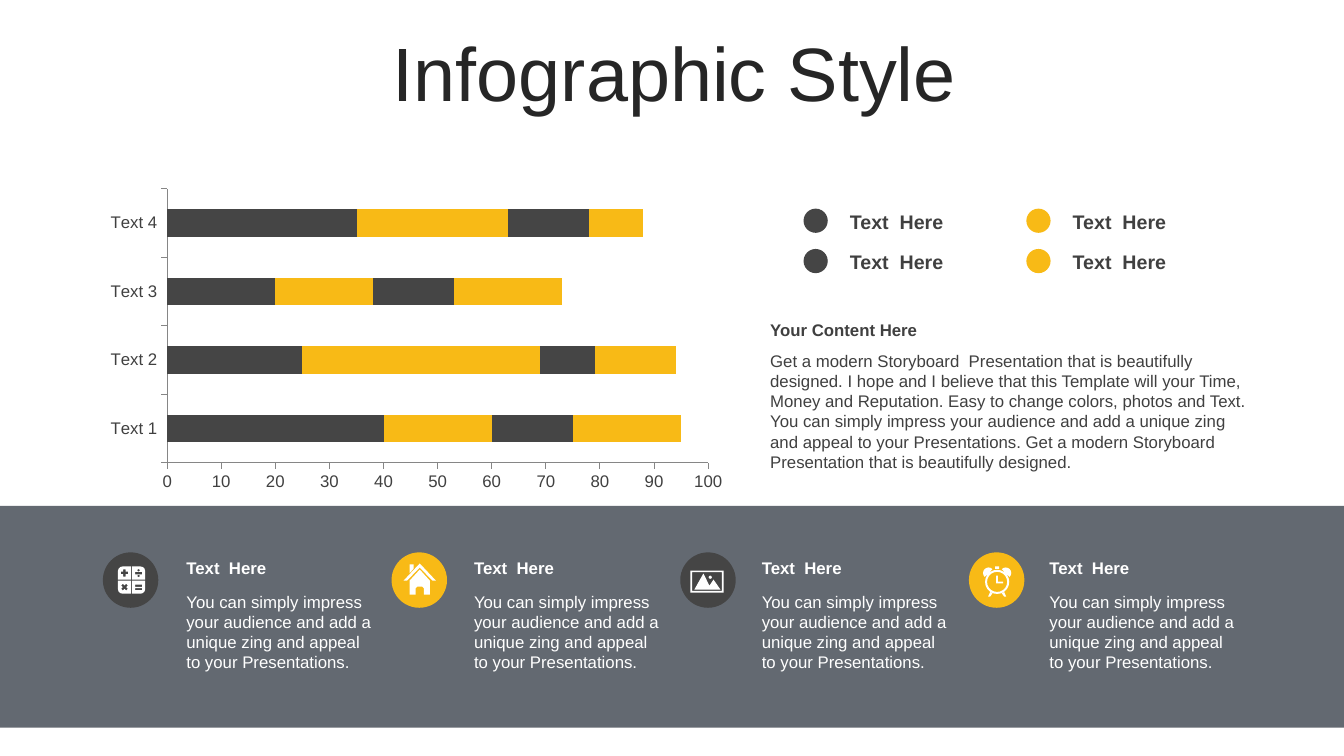
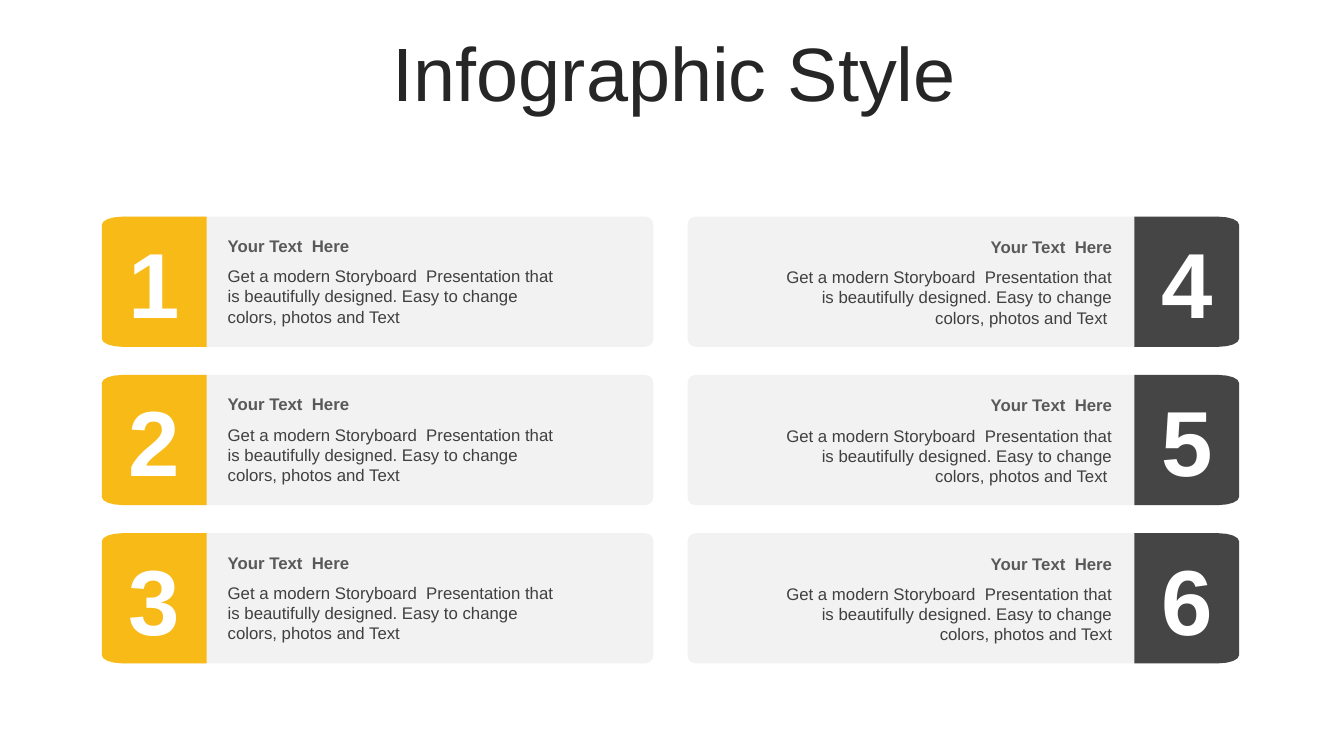
import math

import pptx
import pptx.chart.data
import pptx.dml.color
import pptx.enum.chart
import pptx.enum.shapes
import pptx.enum.text
import pptx.oxml.ns
import pptx.util
from lxml import etree

W, H = 13.33, 7.5
FONT = "Arial"
DARK, YELLOW, WHITE = "454545", "F8BA16", "FFFFFF"
TITLE, TEXT, HEADING = "262626", "404040", "595959"
CARD, BAND, AXIS = "F2F2F2", "222A35", "868686"

SHAPE = pptx.enum.shapes.MSO_SHAPE
ALIGN = pptx.enum.text.PP_ALIGN
ANCHOR = pptx.enum.text.MSO_ANCHOR
inch = pptx.util.Inches


def rgb(colour):
    return pptx.dml.color.RGBColor.from_string(colour)


def paint(sp, colour):
    sp.shadow.inherit = False
    sp.fill.solid()
    sp.fill.fore_color.rgb = rgb(colour)
    sp.line.fill.background()
    return sp


def shape(s, kind, x, y, w, h, colour):
    return paint(s.shapes.add_shape(kind, inch(x), inch(y), inch(w), inch(h)), colour)


def set_font(font, size, colour, bold=False):
    font.name, font.size, font.bold = FONT, pptx.util.Pt(size), bold
    font.color.rgb = rgb(colour)


def text(s, x, y, w, h, words, size, colour, bold=False, align=ALIGN.LEFT, anchor=ANCHOR.TOP):
    tf = s.shapes.add_textbox(inch(x), inch(y), inch(w), inch(h)).text_frame
    tf.word_wrap = True
    tf.vertical_anchor = anchor
    p = tf.paragraphs[0]
    p.text = words
    p.alignment = align
    set_font(p.font, size, colour, bold)
    return p


def headed_text(s, x, y, w, heading, body, colours, gap=0.3, body_h=0.71, align=ALIGN.LEFT):
    text(s, x, y, w, 0.3, heading, 12, colours[0], True, align)
    text(s, x, y + gap, w, body_h, body, 12, colours[1], align=align)


def freeform(s, x, y, contours, colour, unit=1.0):
    """Draw closed outlines, given in units of an inch from (x, y), as one shape."""
    builder = None
    for contour in contours:
        pts = [(inch(x + px * unit), inch(y + py * unit)) for px, py in contour]
        if builder is None:
            builder = s.shapes.build_freeform(*pts[0])
        else:
            builder.move_to(*pts[0])
        builder.add_line_segments(pts[1:], close=True)
    return paint(builder.convert_to_shape(), colour)


def arc(cx, cy, rx, ry, start, end, steps):
    angles = [math.radians(start + (end - start) * i / steps) for i in range(steps + 1)]
    return [(cx + rx * math.cos(a), cy + ry * math.sin(a)) for a in angles]


def circle(cx, cy, r, steps=8):
    return arc(cx, cy, r, r, 0, 360, steps)[:-1]


def rect(x1, y1, x2, y2):
    return [(x1, y1), (x2, y1), (x2, y2), (x1, y2)]


def mirror(contour, axis=28):
    return [(2 * axis - x, y) for x, y in contour]


# Icon outlines, in hundredths of an inch from the corner of their disc.

def calculator():
    cx, cy = 28.5, 27.5
    key = [(0.5, 0.5), (13.5, 0.5)] + arc(9, 9, 4.5, 4.5, 0, 90, 3) + [(0.5, 13.5)]
    keys = [[(cx + sx * x, cy + sy * y) for x, y in key] for sx in (-1, 1) for sy in (-1, 1)]
    a, b = 3.5, 1.25
    plus = [(-b, -a), (b, -a), (b, -b), (a, -b), (a, b), (b, b),
            (b, a), (-b, a), (-b, b), (-a, b), (-a, -b), (-b, -b)]
    c = math.sqrt(0.5)
    return keys + [
        [(21.5 + x, 20.5 + y) for x, y in plus],
        [(21.5 + c * (x - y), 34.5 + c * (x + y)) for x, y in plus],
        rect(32, 19.4, 39, 21.8), circle(35.5, 17.8, 1.2), circle(35.5, 23.4, 1.2),
        rect(32, 32, 39, 34.2), rect(32, 35.4, 39, 37.6)]


def house():
    half = [(28, 17), (38, 28), (38, 42), (32, 42), (32, 35.5), (30.5, 34)]
    roof = [(28, 11), (44, 28), (40.5, 28), (28, 15), (15.5, 28), (12, 28)]
    chimney = [(18, 12), (22, 12), (22, 16), (18, 20.5)]
    return [half + mirror(half)[:0:-1], roof, chimney]


def photo():
    return [rect(10, 18, 43, 40), rect(11.7, 19.7, 41.3, 38.3),
            [(23, 21), (29, 33), (33, 27), (40, 37), (14, 37)], circle(29.8, 24.7, 1.6)]


def alarm_clock():
    bell = arc(19.5, 20.5, 5.5, 5.5, 135, 315, 8)
    leg = [(21, 39.5), (19, 44), (21, 44), (23.3, 40.8)]
    hands = [(27, 23), (28.8, 23), (28.8, 29), (34, 29), (34, 30.8), (27, 30.8)]
    return [circle(28, 29.3, 12, 20), circle(28, 29.3, 10, 20), hands,
            bell, mirror(bell), leg, mirror(leg), rect(26, 14, 30, 16.4)]


def new_slide(prs):
    s = prs.slides.add_slide(prs.slide_layouts[6])
    p = text(s, 0.36, 0.37, W - 0.67, 0.79, "Infographic Style", 54, TITLE,
             align=ALIGN.CENTER, anchor=ANCHOR.MIDDLE)
    p.line_spacing = 0.9
    return s


def bar_chart(s, x, y, w, h):
    data = pptx.chart.data.CategoryChartData()
    data.categories = [f"Text {n}" for n in range(1, 5)]
    rows = [(40, 25, 20, 35), (20, 44, 18, 28), (15, 10, 15, 15), (20, 15, 20, 10)]
    for n, values in enumerate(rows, 1):
        data.add_series(f"Series {n}", values)
    chart = s.shapes.add_chart(pptx.enum.chart.XL_CHART_TYPE.BAR_STACKED,
                               inch(x), inch(y), inch(w), inch(h), data).chart
    chart.has_legend = chart.has_title = False
    set_font(chart.font, 12, TEXT)
    plot = chart.plots[0]
    plot.gap_width, plot.overlap, plot.vary_by_categories = 150, 100, False
    for n, series in enumerate(plot.series):
        series.format.fill.solid()
        series.format.fill.fore_color.rgb = rgb((DARK, YELLOW)[n % 2])
    for axis in (chart.category_axis, chart.value_axis):
        axis.has_major_gridlines = False
        axis.major_tick_mark = pptx.enum.chart.XL_TICK_MARK.OUTSIDE
        axis.format.line.color.rgb = rgb(AXIS)
        axis.format.line.width = pptx.util.Pt(0.75)
        set_font(axis.tick_labels.font, 12, TEXT)
    axis.minimum_scale, axis.maximum_scale, axis.major_unit = 0, 100, 10


def legend(s, x, y):
    for col, colour in enumerate((DARK, YELLOW)):
        for row in range(2):
            left, top = x + 2.21 * col, y + 0.4 * row
            shape(s, SHAPE.OVAL, left, top, 0.24, 0.24, colour)
            text(s, left + 0.36, top - 0.04, 1.49, 0.34, "Text  Here", 14, TEXT, True)


def icon_band(s, y, h):
    band = shape(s, SHAPE.RECTANGLE, 0, y, W, h, BAND)
    tint = band.element.find(".//" + pptx.oxml.ns.qn("a:srgbClr"))
    etree.SubElement(tint, pptx.oxml.ns.qn("a:alpha"), val="70000")
    body = "You can simply impress your audience and add a unique zing and appeal to your Presentations."
    disc_step, text_step = (9.61 - 1.02) / 3, (10.31 - 1.75) / 3
    for n, icon in enumerate((calculator, house, photo, alarm_clock)):
        left, top = 1.02 + disc_step * n, y + 0.46
        shape(s, SHAPE.OVAL, left, top, 0.55, 0.55, (DARK, YELLOW)[n % 2])
        freeform(s, left, top, icon(), WHITE, 0.01)
        headed_text(s, 1.75 + text_step * n, top, 2.05, "Text  Here", body,
                    (WHITE, WHITE), 0.34, 0.91)


def chart_slide(prs):
    s = new_slide(prs)
    icon_band(s, 5.02, 2.2)
    bar_chart(s, 0.97, 1.81, 6.32, 3.12)
    legend(s, 7.97, 2.07)
    body = ("Get a modern Storyboard  Presentation that is beautifully designed. I hope and I believe "
            "that this Template will your Time, Money and Reputation. Easy to change colors, photos "
            "and Text. You can simply impress your audience and add a unique zing and appeal to your "
            "Presentations. Get a modern Storyboard  Presentation that is beautifully designed.")
    headed_text(s, 7.54, 3.12, 4.92, "Your Content Here", body, (TEXT, TEXT), 0.31, 1.31)


def number_card(s, x, y, w, h, number, flipped):
    """Place a card with its number tab on the left, or on the right if flipped."""
    tab_w, inset, text_w = 1.04, 0.11, 3.55
    card = shape(s, SHAPE.ROUNDED_RECTANGLE, x if flipped else x + inset, y, w - inset, h, CARD)
    card.adjustments[0] = 0.06
    tab = ([(tab_w, 0), (tab_w, h)] + arc(0.2, h - 0.08, 0.2, 0.08, 90, 180, 4)
           + arc(0.2, 0.08, 0.2, 0.08, 180, 270, 4))
    tab_x = x + w - tab_w if flipped else x
    freeform(s, tab_x, y, [mirror(tab, tab_w / 2) if flipped else tab], DARK if flipped else YELLOW)
    text(s, tab_x, y, tab_w, h, str(number), 66, WHITE, True, ALIGN.CENTER, ANCHOR.MIDDLE)
    text_x = x + w - 1.16 - text_w if flipped else x + 1.15
    body = ("Get a modern Storyboard  Presentation that is beautifully designed. "
            "Easy to change colors, photos and Text")
    headed_text(s, text_x, y + (0.15 if flipped else 0.14), text_w, "Your Text  Here",
                body + " " if number in (4, 5) else body,
                (HEADING, TEXT), align=ALIGN.RIGHT if flipped else ALIGN.LEFT)


def cards_slide(prs):
    s = new_slide(prs)
    for n in range(6):
        col, row = divmod(n, 3)
        number_card(s, 1.01 + 5.81 * col, 2.15 + 1.57 * row, 5.47, 1.29, n + 1, col == 1)


def main():
    prs = pptx.Presentation()
    prs.slide_width, prs.slide_height = inch(W), inch(H)
    chart_slide(prs)
    cards_slide(prs)
    prs.save("out.pptx")


if __name__ == "__main__":
    main()
